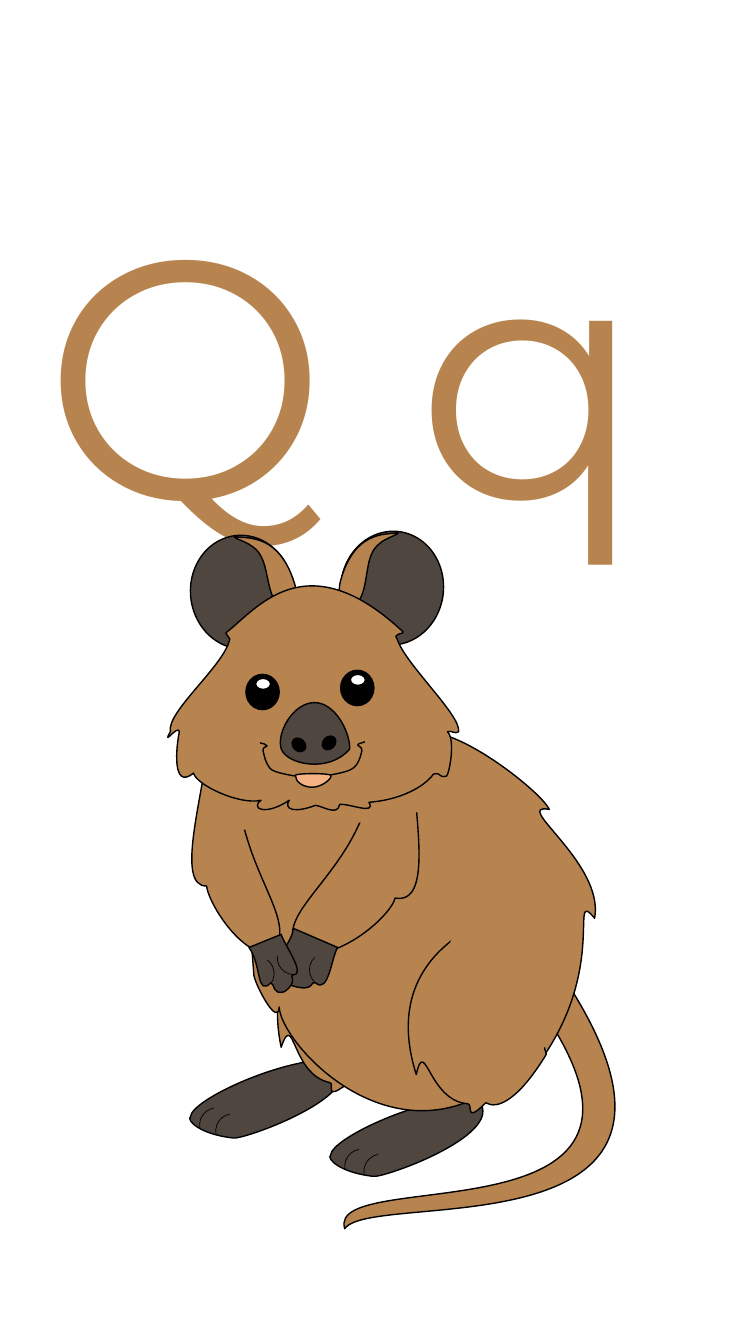
from lxml.etree import SubElement
from pptx import Presentation
from pptx.dml.color import RGBColor
from pptx.enum.shapes import MSO_SHAPE
from pptx.enum.text import MSO_AUTO_SIZE
from pptx.oxml.ns import qn
from pptx.util import Pt

FUR = RGBColor(0xB7, 0x84, 0x4F)
DARK = RGBColor(0x50, 0x46, 0x40)
BLACK = RGBColor(0, 0, 0)
WHITE = RGBColor(0xFF, 0xFF, 0xFF)
TONGUE = RGBColor(0xF4, 0xB1, 0x83)

# Drawing grid: top left corner of the quokka at ORIGIN
ORIGIN = (160, 520)
GRID_WIDTH = 460

# Outlines: M start, L line, C cubic curve, Z close
SEGMENTS = {"M": ("a:moveTo", 1), "L": ("a:lnTo", 1), "C": ("a:cubicBezTo", 3), "Z": ("a:close", 0)}
FOOT = "M 328 1146 C 329 1129 420 1087 472 1089 C 511 1123 378 1170 370 1167 C 336 1163 324 1149 328 1146 Z"
FAR_LEG = ("M 350 900 L 393 927 L 409 1033 C 377 1076 354 1083 345 1075 C 320 1094 333 1074 327 1074 "
           "C 289 1066 292 1001 279 1039 C 257 933 340 905 350 900 Z")
TAIL = "M 532 994 C 543 982 538 937 556 965 C 748 1251 369 1179 342 1219 C 322 1154 708 1239 532 994 Z"
BODY = ("M 242 725 L 414 729 C 444 712 537 785 545 803 C 506 796 600 856 590 911 C 564 880 602 955 540 1047 "
        "L 537 1035 C 416 1186 279 1040 277 999 C 276 1019 255 981 252 968 L 242 840 Z")
LEFT_ARM = "M 205 747 L 235 768 C 236 866 303 916 267 947 C 235 944 206 893 205 879 C 174 880 201 791 205 747 Z"
RIGHT_ARM = "M 411 762 L 369 776 C 353 872 259 909 301 947 C 343 950 389 906 392 891 C 431 898 410 806 411 762 Z"
NEAR_LEG = ("M 468 920 L 514 942 L 542 1046 C 514 1092 493 1101 482 1094 C 460 1116 470 1095 464 1095 "
            "C 425 1092 422 1027 413 1066 C 380 962 460 926 468 920 Z")
RIGHT_PAW = ("M 291 921 L 335 940 C 329 949 326 987 313 975 C 308 972 313 985 290 978 "
             "C 275 970 286 966 284 962 C 257 957 289 943 291 921 Z")
LEFT_PAW = ("M 247 940 L 279 927 C 282 937 304 967 291 967 C 286 967 297 974 282 984 "
            "C 270 987 273 977 269 975 C 254 989 260 958 247 940 Z")
LEFT_EAR = ("M 233 532 C 238 536 275 524 292 578 C 297 593 292 601 287 610 L 283 619 L 280 604 "
            "C 265 595 267 566 259 552 C 252 537 230 535 233 532 Z")
RIGHT_EAR = ("M 395 528 C 390 532 353 521 338 576 C 334 591 339 599 344 608 L 349 616 L 351 601 "
             "C 365 592 362 563 369 549 C 376 533 398 531 395 528 Z")
CHEST = "M 226 786 C 262 776 458 756 461 762 C 471 824 283 819 244 823 C 205 827 190 796 226 786 Z"
HEAD = ("M 224 628 C 254 605 303 536 400 627 C 402 629 389 628 394 634 C 402 659 458 710 455 726 "
        "C 452 729 447 724 444 726 C 452 734 446 767 443 770 C 434 772 439 766 430 768 "
        "C 424 777 403 793 366 796 C 374 809 346 797 337 798 C 335 810 321 800 313 799 "
        "C 292 807 281 803 287 794 C 263 810 248 802 259 794 C 238 799 195 779 192 767 "
        "C 170 785 175 739 178 726 C 177 718 160 742 169 726 C 165 706 223 660 228 634 Z")
NOSE = "M 279 743 C 274 727 291 697 312 697 C 332 697 347 725 347 743 C 327 767 285 759 279 743 Z"
LEFT_SMILE = "M 258 737 C 261 738 264 738 265 740 C 265 741 260 741 261 745 C 262 749 264 760 270 764 C 277 768 300 771 300 771"
RIGHT_SMILE = "M 362 736 C 359 737 355 738 355 739 C 354 740 360 741 359 745 C 358 749 356 759 349 763 C 343 767 320 770 320 770"
THIGH = ("M 466 895 L 547 904 C 528 968 544 1032 541 1038 C 531 1049 528 1042 520 1045 "
         "C 513 1048 508 1058 497 1057 C 483 1054 472 1046 456 1047 C 447 1030 417 974 466 895 Z")
MOUTH = "M 293 769 C 296 767 325 767 328 769 C 331 771 320 781 310 781 C 301 781 293 776 293 769 Z"

# Toe and finger creases: left, top, rotation
CREASES = [(307, 945, 225.5), (275, 933, 185.1), (238, 949, 35.8),
           (198, 1099, 260.5), (214, 1105, 260.5),
           (361, 1145, 260.5), (342, 1140, 260.5)]


def read_outline(outline):
    """Split an outline into (command, points) steps."""
    tokens = iter(outline.split())
    return [(command, [(float(next(tokens)), float(next(tokens))) for _ in range(SEGMENTS[command][1])])
            for command in tokens]


def bounds(steps):
    """Corners of the box that the drawn curves fill."""
    points = []
    for command, ends in steps:
        if command != "C":
            points += ends
            continue
        a, b, c, d = points[-1], *ends
        for t in (i / 20 for i in range(1, 21)):
            weights = ((1 - t) ** 3, 3 * t * (1 - t) ** 2, 3 * t * t * (1 - t), t ** 3)
            points.append(tuple(sum(w * p[axis] for w, p in zip(weights, (a, b, c, d))) for axis in (0, 1)))
    xs, ys = zip(*points)
    return (min(xs), min(ys)), (max(xs), max(ys))


def paint(sp, fill, weight):
    sp.shadow.inherit = False
    if fill is None:
        sp.fill.background()
    else:
        sp.fill.solid()
        sp.fill.fore_color.rgb = fill
    if weight:
        sp.line.color.rgb = BLACK
        sp.line.width = Pt(weight)
    else:
        sp.line.fill.background()


def add_letters(s, left, top, width, height):
    tf = s.shapes.add_textbox(Pt(left), Pt(top), Pt(width), Pt(height)).text_frame
    tf.word_wrap = True
    tf.auto_size = MSO_AUTO_SIZE.SHAPE_TO_FIT_TEXT
    r = tf.paragraphs[0].add_run()
    r.text = "Q q"
    r.font.name = "Montserrat"
    r.font.size = Pt(242)
    r.font.color.rgb = FUR


def add_quokka(s, left, top, width):
    unit = width / GRID_WIDTH

    def place(x, y):
        return Pt(left + (x - ORIGIN[0]) * unit), Pt(top + (y - ORIGIN[1]) * unit)

    def outline(text, fill, weight=1, dx=0, dy=0):
        steps = read_outline(text)
        first, last = [place(x + dx, y + dy) for x, y in bounds(steps)]
        builder = s.shapes.build_freeform(*first, scale=1.0)
        builder.add_line_segments([last], close=False)
        sp = builder.convert_to_shape()
        # Curves, measured from the corner of the box
        track = sp._element.find(".//" + qn("a:path"))
        for child in list(track):
            track.remove(child)
        for command, points in steps:
            segment = SubElement(track, qn(SEGMENTS[command][0]))
            for point in points:
                x, y = place(point[0] + dx, point[1] + dy)
                SubElement(segment, qn("a:pt"), x=str(x - first[0]), y=str(y - first[1]))
        paint(sp, fill, weight)

    def preset(kind, x, y, w, h, fill, rotation=0, weight=1):
        sp = s.shapes.add_shape(kind, *place(x, y), Pt(w * unit), Pt(h * unit))
        sp.rotation = rotation
        paint(sp, fill, weight)

    # Feet, legs, tail and body
    for dx, dy in ((0, 0), (-139, -38)):
        outline(FOOT, DARK, dx=dx, dy=dy)
    for part in (FAR_LEG, TAIL, BODY, LEFT_ARM, RIGHT_ARM, NEAR_LEG):
        outline(part, FUR)
    outline(RIGHT_PAW, DARK)

    # Ears
    for x, y, tilt, inner in ((189, 531, 353.9, LEFT_EAR), (338, 527, 6.1, RIGHT_EAR)):
        preset(MSO_SHAPE.OVAL, x, y, 102, 113, DARK, tilt)
        outline(inner, FUR)

    # Left paw, chest and head
    outline(LEFT_PAW, DARK)
    outline(CHEST, FUR, weight=0)
    outline(HEAD, FUR)

    # Face and thigh
    for x, y in ((244, 669), (338, 665)):
        preset(MSO_SHAPE.OVAL, x, y, 33, 35, BLACK)
        preset(MSO_SHAPE.OVAL, x + 9.5, y + 4, 15, 11, WHITE)
    outline(NOSE, DARK)
    for x, y, tilt in ((289, 733, 43.9), (319, 731, 314.3)):
        preset(MSO_SHAPE.OVAL, x, y, 15, 12, BLACK, tilt)
    outline(RIGHT_SMILE, FUR)
    outline(THIGH, FUR, weight=0)
    outline(LEFT_SMILE, FUR)
    outline(MOUTH, TONGUE)

    # Creases between toes and fingers
    for x, y, turn in CREASES:
        preset(MSO_SHAPE.ARC, x, y, 34, 34, None, turn, 0.5)


def main():
    prs = Presentation()
    prs.slide_width, prs.slide_height = Pt(540), Pt(960)
    s = prs.slides.add_slide(prs.slide_layouts[6])
    add_letters(s, 23.76, 111.6, 570.96, 300.24)
    add_quokka(s, 115.2, 374.4, 331.2)
    prs.save("out.pptx")


if __name__ == "__main__":
    main()
